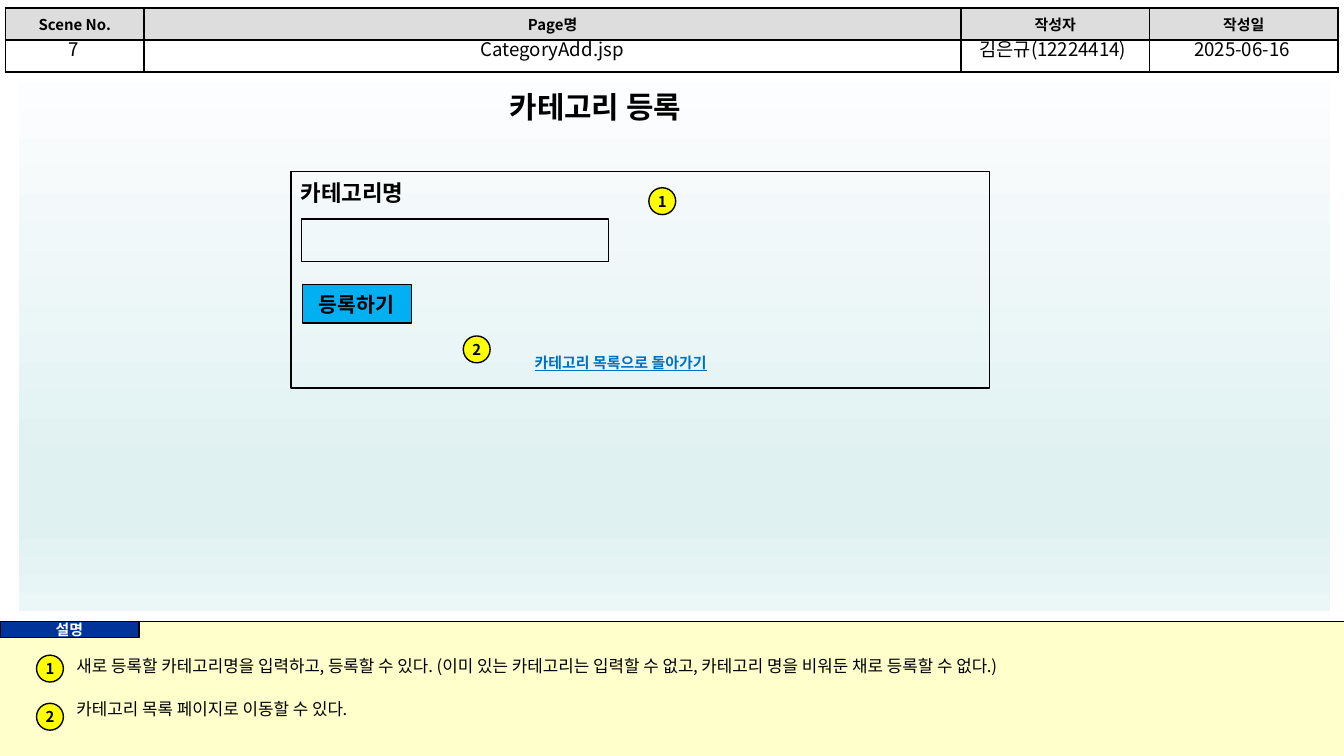
"""Build the storyboard slide for the category registration page."""
from dataclasses import dataclass
from typing import Optional

from lxml import etree
from pptx import Presentation
from pptx.dml.color import RGBColor
from pptx.enum.shapes import MSO_CONNECTOR, MSO_SHAPE
from pptx.enum.text import MSO_ANCHOR, PP_ALIGN
from pptx.oxml.ns import qn
from pptx.util import Pt

RECT, OVAL = MSO_SHAPE.RECTANGLE, MSO_SHAPE.OVAL
STRAIGHT = MSO_CONNECTOR.STRAIGHT
LEFT, CENTER = PP_ALIGN.LEFT, PP_ALIGN.CENTER
TOP, MIDDLE = MSO_ANCHOR.TOP, MSO_ANCHOR.MIDDLE
FONT = "Noto Sans CJK KR"
COLORS = {
    "black": "000000", "white": "FFFFFF", "header": "DDDDDD", "note": "FFFFCC",
    "navy": "003399", "badge": "FFFF00", "link": "0070C0", "button": "00B0F0",
}
PANEL_STOPS = [(0, "FCFDFE"), (74, "E0F1F2"), (83, "E0F1F2"), (100, "EBF6F7")]
HEADERS = ["Scene No.", "Page명", "작성자", "작성일"]
COL_WIDTHS = [74.4, 437.6, 101, 101]
NOTES = [
    "새로 등록할 카테고리명을 입력하고, 등록할 수 있다. (이미 있는 카테고리는 입력할 수 없고, "
    "카테고리 명을 비워둔 채로 등록할 수 없다.)",
    "카테고리 목록 페이지로 이동할 수 있다.",
]


@dataclass
class Box:
    x: float
    y: float
    w: float
    h: float

    def lengths(self) -> tuple:
        return Pt(self.x), Pt(self.y), Pt(self.w), Pt(self.h)


@dataclass
class Style:
    size: float
    color: str = "black"
    bold: bool = False
    underline: bool = False


@dataclass
class Value:
    text: str
    x: float
    w: float


@dataclass
class Badge:
    text: str
    x: float
    y: float


VALUES = [
    Value("7", 1.4, 76.3), Value("CategoryAdd.jsp", 77.8, 436.3),
    Value("김은규(12224414)", 514.8, 98.6), Value("2025-06-16", 617.8, 95),
]
BADGES = [
    Badge("1", 19.6, 351), Badge("2", 19.6, 376.8),
    Badge("1", 347.6, 100.6), Badge("2", 248.2, 180),
]
LABEL = Style(8, bold=True)


def rgb(name: str) -> RGBColor:
    return RGBColor.from_string(COLORS[name])


def add_run(p, text: str, style: Style, align=CENTER) -> None:
    p.alignment = align
    r = p.add_run()
    r.text = text
    r.font.size, r.font.bold = Pt(style.size), style.bold
    r.font.underline = style.underline or None
    r.font.color.rgb = rgb(style.color)
    r.font.name = FONT
    etree.SubElement(r._r.rPr, qn("a:ea"), typeface=FONT)


def set_frame(tf, wrap: bool = False, anchor=MIDDLE) -> None:
    tf.word_wrap, tf.vertical_anchor = wrap, anchor
    tf.margin_left = tf.margin_right = tf.margin_top = tf.margin_bottom = 0


def add_text(s, box: Box, text: str, style: Style, align=CENTER) -> None:
    tf = s.shapes.add_textbox(*box.lengths()).text_frame
    set_frame(tf, wrap=not style.underline)
    add_run(tf.paragraphs[0], text, style, align)


def add_block(s, kind, box: Box, fill: Optional[str] = None, outline: bool = True,
              text: str = "", style: Style = LABEL):
    sp = s.shapes.add_shape(kind, *box.lengths())
    sp.shadow.inherit = False
    if fill:
        sp.fill.solid()
        sp.fill.fore_color.rgb = rgb(fill)
    else:
        sp.fill.background()
    if outline:
        sp.line.color.rgb, sp.line.width = rgb("black"), Pt(0.75)
    else:
        sp.line.fill.background()
    if text:
        set_frame(sp.text_frame)
        add_run(sp.text_frame.paragraphs[0], text, style)
    return sp


def add_stop(parent, percent: int, color: str) -> None:
    gs = etree.SubElement(parent, qn("a:gs"), pos=str(percent * 1000))
    etree.SubElement(gs, qn("a:srgbClr"), val=color)


def add_panel(s, box: Box) -> None:
    sp = add_block(s, RECT, box, outline=False)
    sp.fill.gradient()
    sp.fill.gradient_angle = 270
    stops = sp._element.spPr.find(qn("a:gradFill")).find(qn("a:gsLst"))
    for gs in list(stops):
        stops.remove(gs)
    for percent, color in PANEL_STOPS:
        add_stop(stops, percent, color)


def add_borders(cell) -> None:
    tc_pr = cell._tc.get_or_add_tcPr()
    for side in ("lnL", "lnR", "lnT", "lnB"):
        ln = etree.SubElement(tc_pr, qn(f"a:{side}"), w=str(Pt(1)))
        fill = etree.SubElement(ln, qn("a:solidFill"))
        etree.SubElement(fill, qn("a:srgbClr"), val=COLORS["black"])


def add_header_table(s) -> None:
    box = Box(2.9, 4.3, sum(COL_WIDTHS), 34)
    table = s.shapes.add_table(2, len(HEADERS), *box.lengths()).table
    table.first_row = table.horz_banding = False
    for row in table.rows:
        row.height = Pt(box.h / 2)
    for i, (text, width) in enumerate(zip(HEADERS, COL_WIDTHS)):
        table.columns[i].width = Pt(width)
        head, blank = table.cell(0, i), table.cell(1, i)
        for cell in (head, blank):
            add_borders(cell)
            cell.margin_top = cell.margin_bottom = Pt(2.8)
        head.fill.solid()
        head.fill.fore_color.rgb = rgb("header")
        add_run(head.text_frame.paragraphs[0], text, LABEL)
        blank.fill.background()
        blank.text_frame.paragraphs[0]._p.get_or_add_endParaRPr().set("sz", "800")


def add_title(s, box: Box, text: str) -> None:
    sp = s.shapes.title
    s.shapes._spTree.append(sp._element)
    sp.left, sp.top, sp.width, sp.height = box.lengths()
    set_frame(sp.text_frame)
    add_run(sp.text_frame.paragraphs[0], text, Style(16, bold=True))


def add_notes(s, box: Box) -> None:
    tf = s.shapes.add_textbox(*box.lengths()).text_frame
    set_frame(tf, wrap=True, anchor=TOP)
    for i, note in enumerate(NOTES):
        p = tf.add_paragraph() if i else tf.paragraphs[0]
        p.space_before = Pt(12 * i)
        add_run(p, note, Style(9), LEFT)


def main() -> None:
    prs = Presentation()
    prs.slide_width, prs.slide_height = Pt(720), Pt(405)
    s = prs.slides.add_slide(prs.slide_layouts[5])
    add_block(s, RECT, Box(0, 333, 720, 72), "note", outline=False)
    add_header_table(s)
    line = s.shapes.add_connector(STRAIGHT, 0, Pt(333), Pt(720), Pt(333))
    line.line.color.rgb, line.line.width = rgb("black"), Pt(0.75)
    etree.SubElement(line._element.spPr, qn("a:effectLst"))
    add_block(s, RECT, Box(0, 333, 74.5, 8.6), "navy", text="설명",
              style=Style(8, "white", True))
    add_panel(s, Box(10.1, 43.9, 702.7, 283.5))
    add_title(s, Box(219, 45, 200, 24), "카테고리 등록")
    add_notes(s, Box(41, 351.5, 670, 40))
    for value in VALUES:
        add_text(s, Box(value.x, 19.4, value.w, 13.7), value.text, Style(10))
    add_block(s, RECT, Box(156, 92, 374.2, 116))
    add_text(s, Box(161, 94, 100, 18), "카테고리명", Style(12, bold=True), LEFT)
    for badge in BADGES:
        add_block(s, OVAL, Box(badge.x, badge.y, 14.4, 14.4), "badge", text=badge.text)
    add_text(s, Box(275, 185.8, 115.2, 17), "카테고리 목록으로 돌아가기",
             Style(8, "link", True, True))
    add_block(s, RECT, Box(161.5, 117.4, 164.4, 22.6))
    add_block(s, RECT, Box(162, 152.4, 58.3, 20.8), "button", text="등록하기",
              style=Style(11, bold=True))
    prs.save("out.pptx")


if __name__ == "__main__":
    main()
